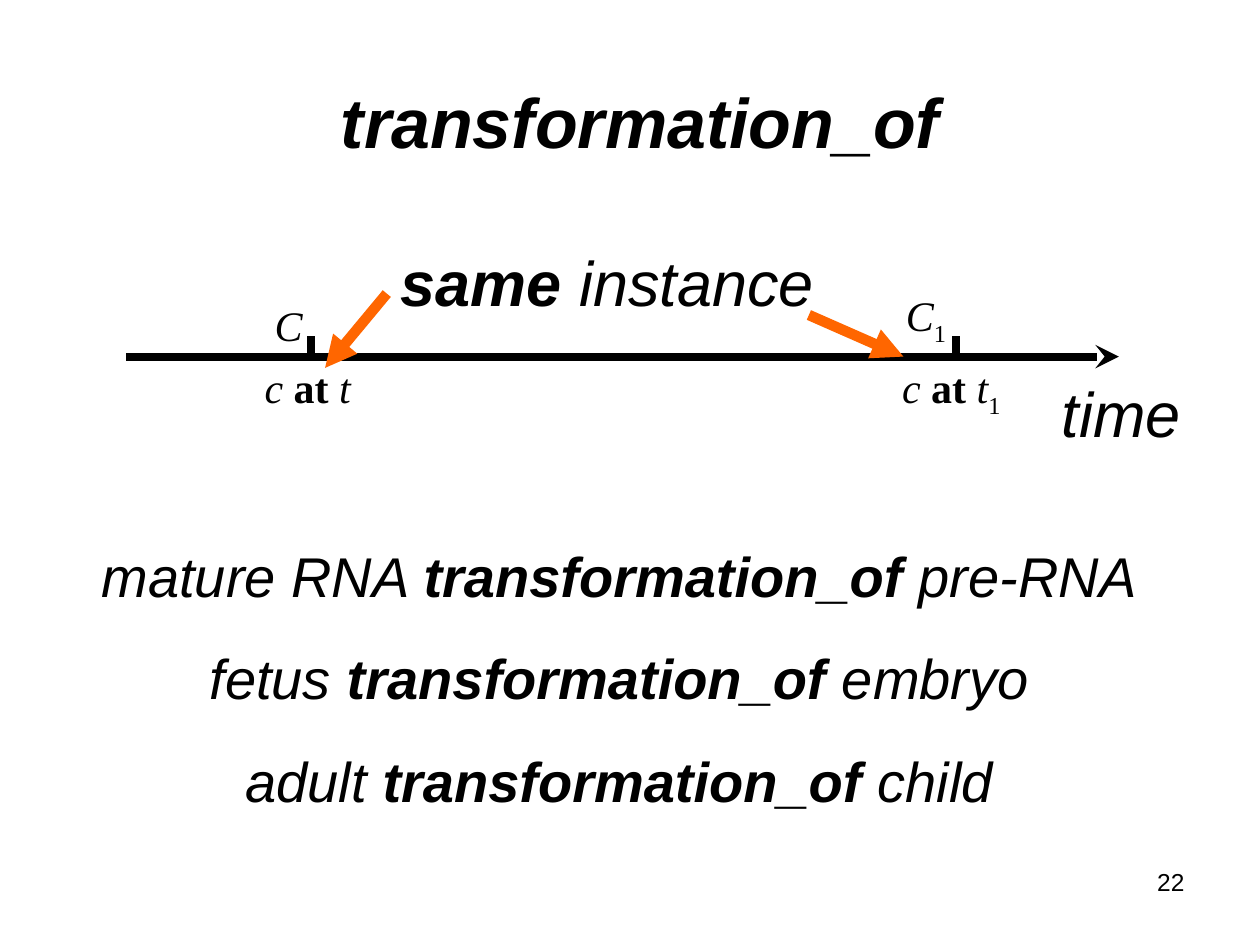
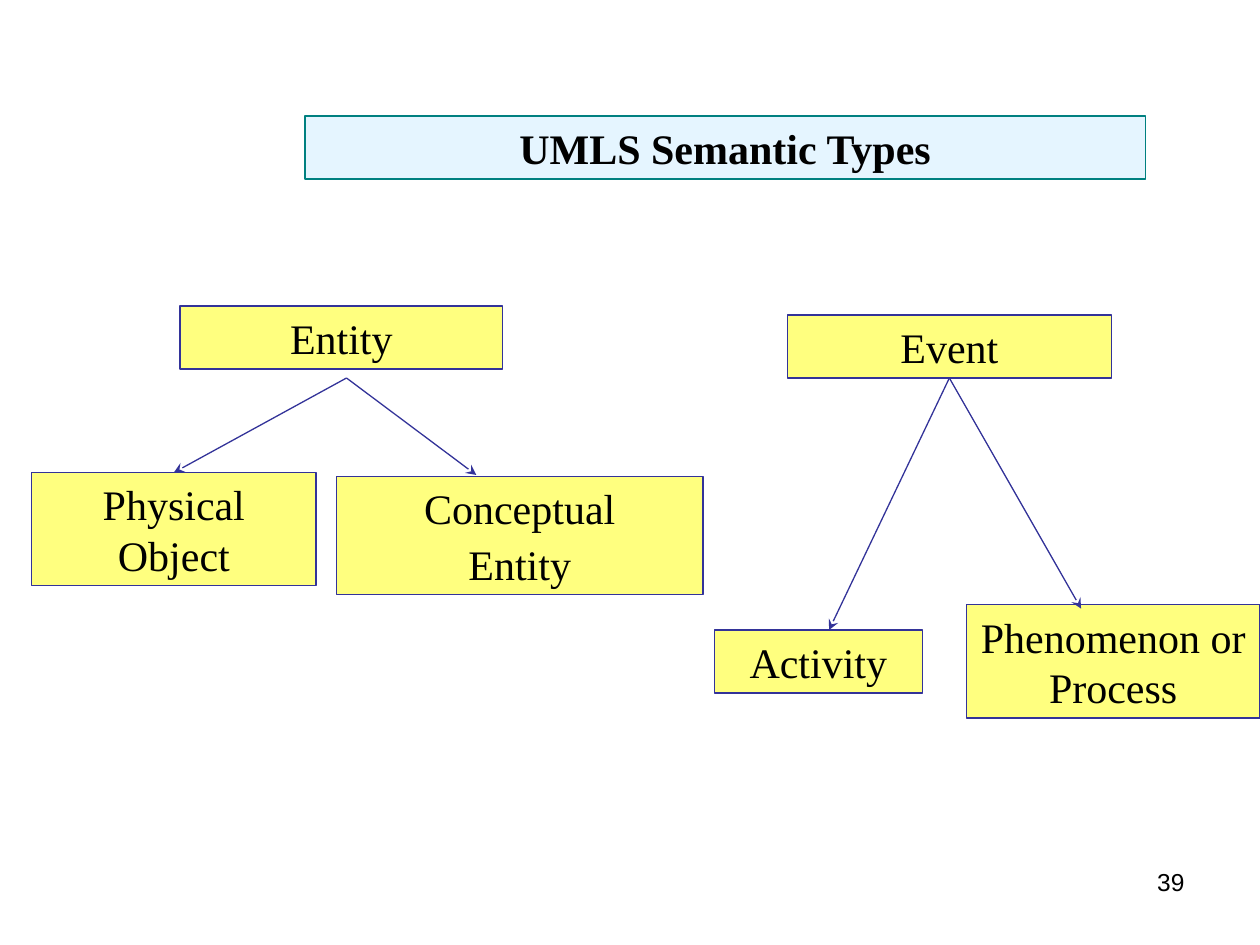
from lxml import etree
from pptx import Presentation
from pptx.dml.color import RGBColor
from pptx.enum import shapes, text
from pptx.oxml import ns
from pptx.util import Inches, Pt

BLACK = "000000"
ORANGE = "FF6600"
INDIGO = "333399"
TEAL = "008080"
YELLOW = "FFFF00"
PALE_BLUE = "CCECFF"
SANS = "Arial"
SERIF = "Times New Roman"
LEFT, CENTER, RIGHT = text.PP_ALIGN.LEFT, text.PP_ALIGN.CENTER, text.PP_ALIGN.RIGHT
TOP, MIDDLE = text.MSO_ANCHOR.TOP, text.MSO_ANCHOR.MIDDLE
BOTTOM_SIDE, TOP_SIDE = 2, 0


def color(value):
    return RGBColor.from_string(value)


def place(shape, box):
    shape.left, shape.top, shape.width, shape.height = (Inches(value) for value in box)


def add_run(paragraph, content, style):
    run = paragraph.add_run()
    run.text = content
    if "b" in style:
        run.font.bold = True
    if "i" in style:
        run.font.italic = True
    if "s" in style:
        run.font._element.set("baseline", "-25000")


def write(shape, paragraphs, size, font, align=LEFT, anchor=TOP, gap=0, inset=(0.1, 0.05)):
    frame = shape.text_frame
    frame.word_wrap = True
    frame.auto_size = text.MSO_AUTO_SIZE.NONE
    frame.vertical_anchor = anchor
    frame.margin_left = frame.margin_right = Inches(inset[0])
    frame.margin_top = frame.margin_bottom = Inches(inset[1])
    for index, runs in enumerate(paragraphs):
        paragraph = frame.add_paragraph() if index else frame.paragraphs[0]
        paragraph.alignment = align
        paragraph.space_before = Pt(gap if index else 0)
        for content, style in runs:
            add_run(paragraph, content, style)
        paragraph.font.name = font
        paragraph.font.size = Pt(size)
        paragraph.font.color.rgb = color(BLACK)


def add_text(slide, box, paragraphs, size, font, **options):
    shape = slide.shapes.add_textbox(*(Inches(value) for value in box))
    write(shape, paragraphs, size, font, **options)


def add_time_label(slide, left, top, runs):
    add_text(slide, (left, top, 1.2, 0.5), [runs], 24, SERIF, inset=(0.08, 0.04))


def add_page_number(slide, number):
    add_text(slide, (7.17, 6.83, 2.33, 0.52), [[(number, "")]], 14, SANS, align=RIGHT)


def add_line(slide, start, end, line_color, width, arrowhead=None):
    points = (Inches(value) for value in (*start, *end))
    line = slide.shapes.add_connector(shapes.MSO_CONNECTOR.STRAIGHT, *points)
    line.line.color.rgb = color(line_color)
    line.line.width = Pt(width)
    properties = line._element.spPr
    if arrowhead:
        outline = properties.find(ns.qn("a:ln"))
        etree.SubElement(outline, ns.qn("a:tailEnd"), type=arrowhead)
    etree.SubElement(properties, ns.qn("a:effectLst"))
    return line


def paint(shape, fill, outline):
    shape.fill.solid()
    shape.fill.fore_color.rgb = color(fill)
    fill_color = shape._element.spPr.find(ns.qn("a:solidFill"))[0]
    etree.SubElement(fill_color, ns.qn("a:alpha"), val="50000")
    shape.line.color.rgb = color(outline)
    shape.line.width = Pt(0.75)


def add_type_box(slide, box, *lines):
    shape = slide.shapes.add_shape(
        shapes.MSO_SHAPE.RECTANGLE, *(Inches(value) for value in box))
    shape.shadow.inherit = False
    paint(shape, YELLOW, INDIGO)
    write(shape, [[(line, "")] for line in lines], 24, SERIF,
          align=CENTER, anchor=MIDDLE, gap=3)
    return shape


def add_branch(slide, start, end, parent=None, child=None):
    branch = add_line(slide, start, end, INDIGO, 0.75, "stealth")
    if parent:
        branch.begin_connect(parent, BOTTOM_SIDE)
    if child:
        branch.end_connect(child, TOP_SIDE)


def add_titled_slide(presentation, title, box, size, font, style):
    slide = presentation.slides.add_slide(presentation.slide_layouts[5])
    place(slide.shapes.title, box)
    write(slide.shapes.title, [[(title, style)]], size, font, align=CENTER, anchor=MIDDLE)
    return slide


def build_transformation(presentation):
    slide = add_titled_slide(
        presentation, "transformation_of", (0.58, 0.33, 9, 1.25), 40, SANS, "bi")

    axis = 2.83
    add_line(slide, (1, axis), (8.88, axis), BLACK, 4.5, "stealth")
    for tick in (2.47, 7.59):
        add_line(slide, (tick, 2.67), (tick, axis), BLACK, 4.5)
    add_time_label(slide, 2.1, 2.34, [("C", "i")])
    add_time_label(slide, 2.02, axis, [("c ", "i"), ("at ", "b"), ("t", "i")])
    add_time_label(slide, 7.11, 2.26, [("C", "i"), ("1", "s")])
    add_time_label(slide, 7.08, axis, [("c ", "i"), ("at ", "b"), ("t", "i"), ("1", "s")])
    add_text(slide, (8.33, 2.92, 1.6, 0.7), [[("time", "i")]], 36, SANS)

    add_text(slide, (3.08, 1.88, 3.83, 0.7),
             [[("same ", "bi"), ("instance", "i")]], 36, SANS)
    add_line(slide, (6.42, 2.5), (7.17, 2.83), ORANGE, 6, "triangle")
    add_line(slide, (3.07, 2.33), (2.58, 2.92), ORANGE, 6, "triangle")

    examples = [("mature RNA", "pre-RNA"), ("fetus", "embryo"), ("adult", "child")]
    add_text(slide, (0.58, 4.25, 8.67, 2.26),
             [[(f"{later} ", "i"), ("transformation_of ", "bi"), (earlier, "i")]
              for later, earlier in examples],
             32, SANS, align=CENTER, gap=20)
    add_page_number(slide, "22")


def build_semantic_types(presentation):
    slide = add_titled_slide(
        presentation, "UMLS Semantic Types", (2.42, 0.92, 6.67, 0.5), 24, SERIF, "b")
    paint(slide.shapes.title, PALE_BLUE, TEAL)

    add_type_box(slide, (1.43, 2.43, 2.56, 0.5), "Entity")
    event = add_type_box(slide, (6.25, 2.5, 2.57, 0.5), "Event")
    physical_object = add_type_box(slide, (0.25, 3.75, 2.26, 0.9), "Physical Object")
    add_type_box(slide, (2.67, 3.78, 2.91, 0.94), "Conceptual", "Entity")
    add_type_box(slide, (5.67, 5, 1.65, 0.5), "Activity")
    add_type_box(slide, (7.67, 4.8, 2.33, 0.9), "Phenomenon or Process")

    below_entity, below_event = (2.75, 3), (7.58, 3)
    add_branch(slide, below_entity, (1.43, 3.77), child=physical_object)
    add_branch(slide, below_entity, (3.78, 3.77))
    add_branch(slide, below_event, (6.58, 5), parent=event)
    add_branch(slide, below_event, (8.58, 4.83), parent=event)
    add_page_number(slide, "39")


def main():
    presentation = Presentation()
    presentation.slide_width = Inches(10)
    presentation.slide_height = Inches(7.5)
    build_transformation(presentation)
    build_semantic_types(presentation)
    presentation.save("out.pptx")


if __name__ == "__main__":
    main()
